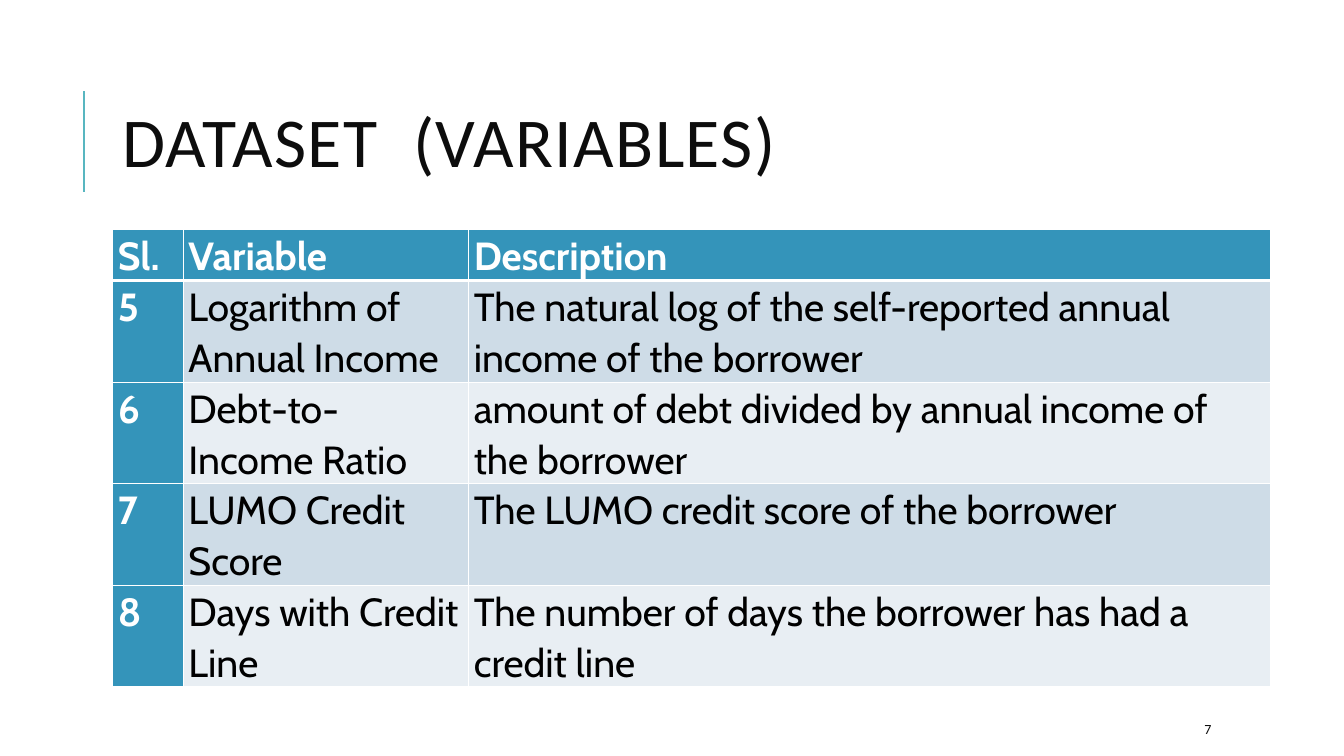
from lxml import etree
from pptx import Presentation
from pptx.dml.color import RGBColor as RGB
from pptx.enum.shapes import MSO_CONNECTOR as CONNECTOR
from pptx.enum.text import MSO_ANCHOR as ANCHOR
from pptx.oxml import parse_xml
from pptx.oxml.ns import nsdecls, qn
from pptx.util import Cm, Pt

TITLE = "DATASET  (VARIABLES)"
PAGE = "7"
HEADER = ("Sl.", "Variable", "Description")
VARIABLES = [
    ("5", "Logarithm of Annual Income",
     "The natural log of the self-reported annual income of the borrower"),
    ("6", "Debt-to-Income Ratio",
     "amount of debt divided by annual income of the borrower"),
    ("7", "LUMO Credit Score", "The LUMO credit score of the borrower"),
    ("8", "Days with Credit Line",
     "The number of days the borrower has had a credit line"),
]
COLORS = {
    "rule": "58B6C0", "title": "0D0D0D", "head": "3494BA", "white": "FFFFFF",
    "text": "000000", "odd": "CEDCE7", "even": "E8EEF3",
}
COL_WIDTHS = (1.78, 7.19, 20.22)
HEAD_HEIGHT, ROW_HEIGHT = 1.28, 2.56
TABLE_LEFT, TABLE_TOP = 2.84, 5.79


def write(tf, text, *, size, font, color, bold=False, leading=None, spacing=None):
    tf.word_wrap = True
    p = tf.paragraphs[0]
    p.line_spacing = leading
    r = p.add_run()
    r.text = text
    r.font.size = Pt(size)
    r.font.name = font
    r.font.bold = bold
    r.font.color.rgb = RGB.from_string(COLORS[color])
    if spacing:
        r.font._element.set("spc", str(spacing * 100))


def add_text(s, text, box, **fmt):
    tf = s.shapes.add_textbox(*map(Cm, box)).text_frame
    tf.vertical_anchor = ANCHOR.MIDDLE
    write(tf, text, **fmt)


def set_borders(cell, bottom):
    tcPr = cell._tc.get_or_add_tcPr()
    for i, (side, width) in enumerate(zip("LRTB", (1, 1, 1, bottom))):
        tcPr.insert(i, parse_xml(
            f'<a:ln{side} {nsdecls("a")} w="{Pt(width)}"><a:solidFill>'
            f'<a:srgbClr val="{COLORS["white"]}"/></a:solidFill></a:ln{side}>'))


def add_variables(s):
    rows = [HEADER, *VARIABLES]
    height = HEAD_HEIGHT + ROW_HEIGHT * len(VARIABLES)
    table = s.shapes.add_table(
        len(rows), len(HEADER), Cm(TABLE_LEFT), Cm(TABLE_TOP),
        Cm(sum(COL_WIDTHS)), Cm(height)).table
    for column, width in zip(table.columns, COL_WIDTHS):
        column.width = Cm(width)
    for i, values in enumerate(rows):
        table.rows[i].height = Cm(ROW_HEIGHT if i else HEAD_HEIGHT)
        for j, value in enumerate(values):
            cell = table.cell(i, j)
            strong = i == 0 or j == 0
            fill = "head" if strong else "odd" if i % 2 else "even"
            cell.margin_left = cell.margin_right = Cm(0.13)
            cell.margin_top = cell.margin_bottom = 0
            cell.fill.solid()
            cell.fill.fore_color.rgb = RGB.from_string(COLORS[fill])
            set_borders(cell, 1 if i else 3)
            write(cell.text_frame, value, size=28, font="Cabin", bold=strong,
                  color="white" if strong else "text", leading=1.07)


def main():
    prs = Presentation()
    prs.slide_width, prs.slide_height = Cm(33.87), Cm(19.05)
    s = prs.slides.add_slide(prs.slide_layouts[6])

    rule = s.shapes.add_connector(
        CONNECTOR.STRAIGHT, Cm(2.12), Cm(4.83), Cm(2.12), Cm(2.29))
    rule.line.color.rgb = RGB.from_string(COLORS["rule"])
    rule.line.width = Pt(1.5)
    etree.SubElement(rule._element.spPr, qn("a:effectLst"))

    add_text(s, TITLE, (2.84, 1.63, 27, 4.17), size=50, font="Calibri",
             color="title", leading=0.8, spacing=1)
    add_text(s, PAGE, (30.1, 17.98, 2.69, 0.76), size=10, font="Calibri",
             color="title")
    add_variables(s)
    prs.save("out.pptx")


if __name__ == "__main__":
    main()
